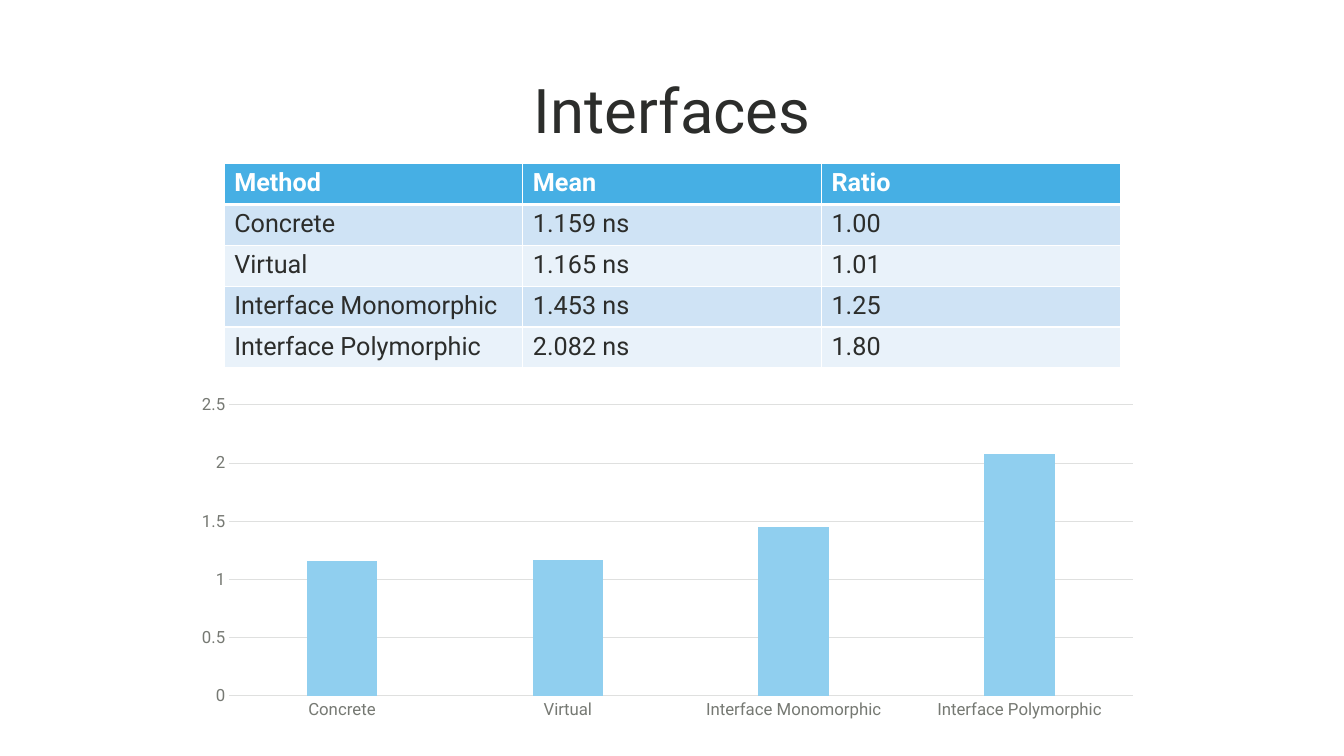
from dataclasses import dataclass

from lxml.etree import SubElement
from pptx import Presentation
from pptx.chart.data import CategoryChartData
from pptx.dml.color import RGBColor as RGB
from pptx.enum.chart import XL_CHART_TYPE as ChartType, XL_TICK_MARK as TickMark
from pptx.enum.text import MSO_ANCHOR as Anchor, PP_ALIGN as Align
from pptx.oxml.ns import qn
from pptx.util import Cm, Pt


@dataclass(frozen=True)
class Theme:
    font: str = "Roboto"
    ink: str = "2C2D2B"
    muted: str = "767973"
    rule: str = "DFE0DF"
    white: str = "FFFFFF"
    header: str = "46AFE4"
    bands: tuple = ("CFE3F5", "E9F2FA")
    bar: str = "90CFEF"
    title_size: int = 44
    table_size: int = 18
    axis_size: int = 12
    chart_size: int = 10


THEME = Theme()
RESULTS = (
    ("Method", "Mean", "Ratio"),
    ("Concrete", "1.159 ns", "1.00"),
    ("Virtual", "1.165 ns", "1.01"),
    ("Interface Monomorphic", "1.453 ns", "1.25"),
    ("Interface Polymorphic", "2.082 ns", "1.80"),
)
BAR_VALUES = (1.16, 1.17, 1.45, 2.08)


def style_font(font, size, color, bold=False):
    font.name = THEME.font
    font.size = Pt(size)
    font.bold = bold
    font.color.rgb = RGB.from_string(color)


def style_rule(line):
    line.color.rgb = RGB.from_string(THEME.rule)
    line.width = Pt(0.75)


def add_title(s, text):
    title = s.shapes.title
    title.left, title.top = Cm(2.34), Cm(1.02)
    title.width, title.height = Cm(29.21), Cm(3.68)
    tf = title.text_frame
    tf.text = text
    tf.vertical_anchor = Anchor.MIDDLE
    p = tf.paragraphs[0]
    p.alignment = Align.CENTER
    p.line_spacing = 0.9
    style_font(p.font, THEME.title_size, THEME.ink)


def add_border(cell, side, width):
    ln = SubElement(cell._tc.get_or_add_tcPr(), qn(f"a:ln{side}"), w=str(Pt(width)))
    fill = SubElement(ln, qn("a:solidFill"))
    SubElement(fill, qn("a:srgbClr"), val=THEME.white)


def fill_cell(cell, text, fill, color, bold, edges):
    for side, width in edges.items():
        add_border(cell, side, width)
    cell.fill.solid()
    cell.fill.fore_color.rgb = RGB.from_string(fill)
    cell.text = text
    style_font(cell.text_frame.paragraphs[0].font, THEME.table_size, color, bold)


def add_results_table(s):
    table = s.shapes.add_table(
        len(RESULTS), len(RESULTS[0]), Cm(5.65), Cm(4.12), Cm(22.58), Cm(5.15)
    ).table
    for i, row in enumerate(RESULTS):
        header = i == 0
        fill = THEME.header if header else THEME.bands[(i - 1) % 2]
        color = THEME.white if header else THEME.ink
        edges = {"L": 1, "R": 1, "T": 3 if i == 1 else 1, "B": 3 if header else 1}
        for j, text in enumerate(row):
            fill_cell(table.cell(i, j), text, fill, color, header, edges)


def style_axis(axis):
    axis.major_tick_mark = axis.minor_tick_mark = TickMark.NONE
    style_font(axis.tick_labels.font, THEME.axis_size, THEME.muted)


def add_mean_chart(s):
    data = CategoryChartData()
    data.categories = [row[0] for row in RESULTS[1:]]
    data.add_series("Series 1", BAR_VALUES)
    chart = s.shapes.add_chart(
        ChartType.COLUMN_CLUSTERED, Cm(4.6), Cm(9.78), Cm(24.43), Cm(8.53), data
    ).chart
    chart.has_legend = False
    chart.has_title = False
    style_font(chart.font, THEME.chart_size, THEME.ink)

    plot = chart.plots[0]
    plot.gap_width = 219
    plot.overlap = -27
    plot.vary_by_categories = False
    bars = plot.series[0].format.fill
    bars.solid()
    bars.fore_color.rgb = RGB.from_string(THEME.bar)

    methods, means = chart.category_axis, chart.value_axis
    style_axis(methods)
    style_rule(methods.format.line)
    style_axis(means)
    means.minimum_scale, means.maximum_scale, means.major_unit = 0, 2.5, 0.5
    means.format.line.fill.background()
    means.has_major_gridlines = True
    style_rule(means.major_gridlines.format.line)


def main():
    prs = Presentation()
    prs.slide_width, prs.slide_height = Cm(33.87), Cm(19.05)
    s = prs.slides.add_slide(prs.slide_layouts[5])
    add_title(s, "Interfaces")
    add_results_table(s)
    add_mean_chart(s)
    prs.save("out.pptx")


if __name__ == "__main__":
    main()
